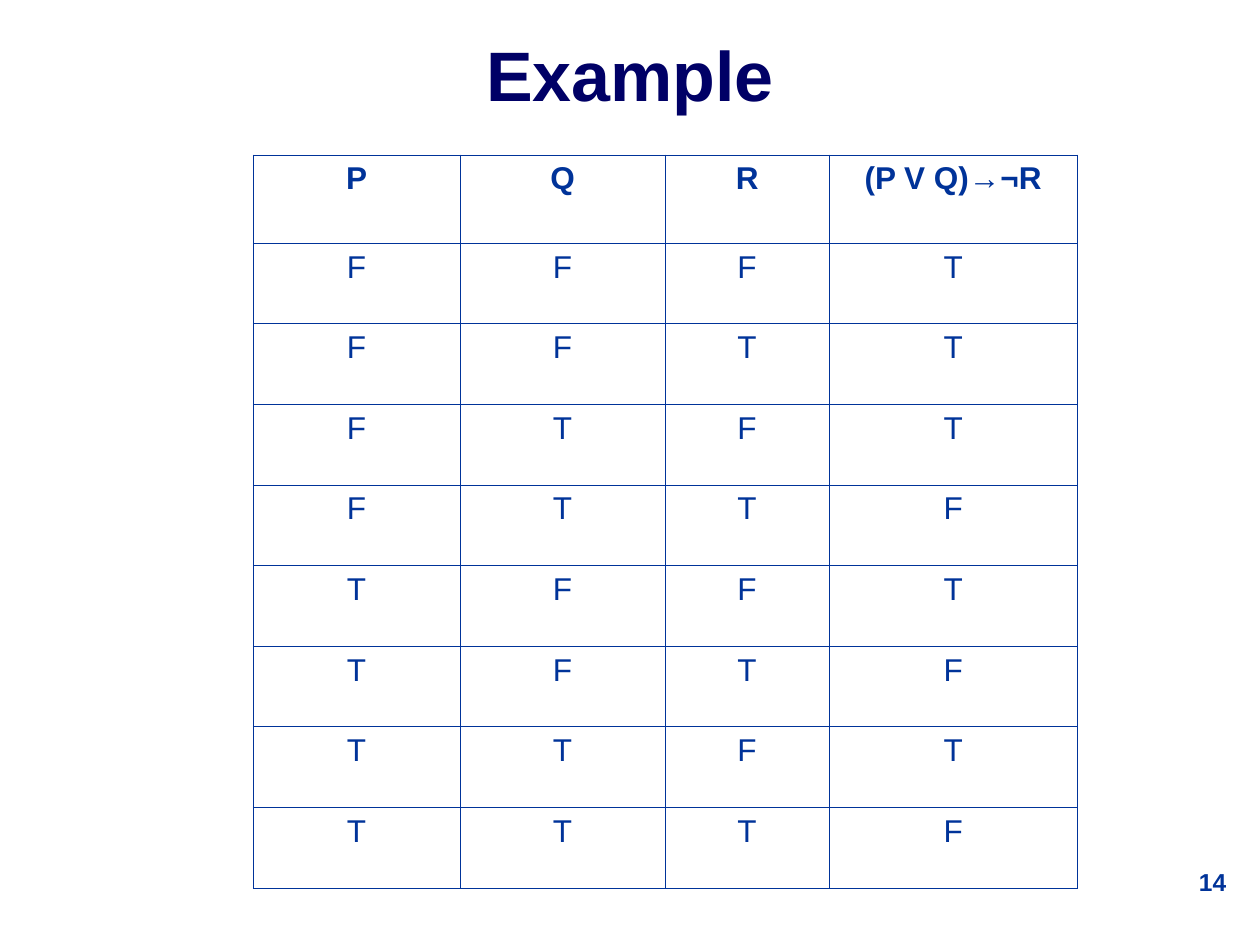
"""Build a slide with the truth table of (P V Q)→¬R."""
from itertools import product

from lxml import etree
from pptx import Presentation, util as u
from pptx.dml.color import RGBColor
from pptx.enum import text
from pptx.oxml import ns

TITLE = "Example"
PAGE_NUMBER = "14"
HEADINGS = ["P", "Q", "R", "(P V Q)→¬R"]
COLUMN_WIDTHS = [1.64, 1.63, 1.3, 1.97]
HEADING_HEIGHT, ROW_HEIGHT = 0.7, 0.64
TABLE_LEFT, TABLE_TOP = 2.01, 1.23
FONT = "Arial"
NAVY, BLUE = "000066", "003399"
BORDER_POINTS = 0.45


def color(value):
    return RGBColor.from_string(value)


def write(frame, words, size, ink, bold, align):
    para = frame.paragraphs[0]
    para.alignment = align
    span = para.add_run()
    span.text = words
    span.font.name = FONT
    span.font.size = u.Pt(size)
    span.font.bold = bold
    span.font.color.rgb = color(ink)


def add_label(page, place, words, size, ink, align, anchor):
    box = page.shapes.add_textbox(*map(u.Inches, place))
    box.text_frame.word_wrap = True
    box.text_frame.vertical_anchor = anchor
    write(box.text_frame, words, size, ink, True, align)


def add_borders(cell):
    properties = cell._tc.get_or_add_tcPr()
    for side in ("lnL", "lnR", "lnT", "lnB"):
        line = etree.SubElement(properties, ns.qn(f"a:{side}"), w=str(int(u.Pt(BORDER_POINTS))))
        fill = etree.SubElement(line, ns.qn("a:solidFill"))
        etree.SubElement(fill, ns.qn("a:srgbClr"), val=BLUE)


def truth_rows():
    rows = []
    for values in product("FT", repeat=3):
        p, q, r = (value == "T" for value in values)
        rows.append([*values, "T" if not (p or q) or not r else "F"])
    return rows


def add_truth_table(page):
    rows = [HEADINGS] + truth_rows()
    heights = [HEADING_HEIGHT] + [ROW_HEIGHT] * (len(rows) - 1)
    place = (TABLE_LEFT, TABLE_TOP, sum(COLUMN_WIDTHS), sum(heights))
    table = page.shapes.add_table(len(rows), len(HEADINGS), *map(u.Inches, place)).table
    table.horz_banding = False
    for column, width in zip(table.columns, COLUMN_WIDTHS):
        column.width = u.Inches(width)
    for index, (row, height) in enumerate(zip(table.rows, heights)):
        row.height = u.Inches(height)
        for cell, words in zip(row.cells, rows[index]):
            add_borders(cell)
            cell.fill.background()
            write(cell.text_frame, words, 18, BLUE, index == 0, text.PP_ALIGN.CENTER)


def main():
    deck = Presentation()
    deck.slide_width, deck.slide_height = u.Inches(10), u.Inches(7.5)
    page = deck.slides.add_slide(deck.slide_layouts[6])
    add_label(page, (7.75, 6.83, 2.08, 0.5), PAGE_NUMBER, 14, BLUE,
              text.PP_ALIGN.RIGHT, text.MSO_ANCHOR.TOP)
    add_label(page, (0.75, 0.25, 8.5, 0.67), TITLE, 40, NAVY,
              text.PP_ALIGN.CENTER, text.MSO_ANCHOR.MIDDLE)
    add_truth_table(page)
    deck.save("out.pptx")


if __name__ == "__main__":
    main()
